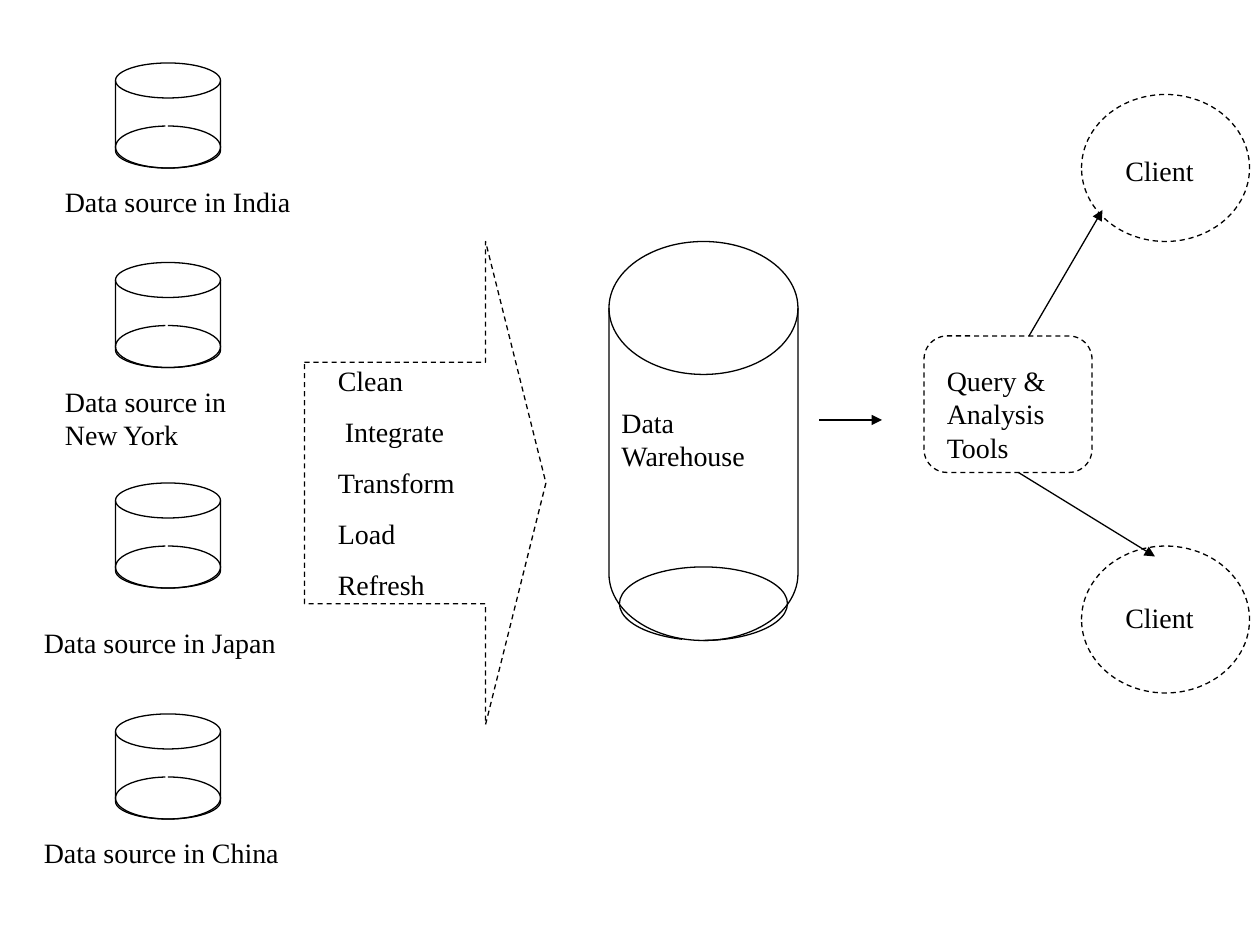
from lxml import etree
from pptx import Presentation
from pptx.dml.color import RGBColor
from pptx.enum.dml import MSO_LINE
from pptx.enum.shapes import MSO_CONNECTOR, MSO_SHAPE
from pptx.enum.text import MSO_AUTO_SIZE
from pptx.oxml.ns import qn
from pptx.util import Pt

PX = 7620
COLORS = {"ink": "000000"}
DISK = MSO_SHAPE.FLOWCHART_MAGNETIC_DISK
ARC = MSO_SHAPE.ARC
RIGHT_ARROW = MSO_SHAPE.RIGHT_ARROW
OVAL = MSO_SHAPE.OVAL
ROUNDED = MSO_SHAPE.ROUNDED_RECTANGLE
DASH = MSO_LINE.DASH
STRAIGHT = MSO_CONNECTOR.STRAIGHT
FIT_SHAPE = MSO_AUTO_SIZE.SHAPE_TO_FIT_TEXT
ARC_UNITS_PER_DEGREE = 0.6


class Diagram:
    """Draws outlined shapes, arrows and labels in one style on a slide."""

    font = "Times New Roman"
    size = Pt(16)
    space_before = Pt(10)
    weight = Pt(0.75)

    def __init__(self, slide):
        self.slide = slide
        self.ink = RGBColor.from_string(COLORS["ink"])

    def stroke(self, line):
        line.color.rgb = self.ink
        line.width = self.weight

    def outline(self, kind, box, adjustments=(), dashed=False):
        shape = self.slide.shapes.add_shape(kind, *(v * PX for v in box))
        shape.shadow.inherit = False
        shape.fill.background()
        self.stroke(shape.line)
        if dashed:
            shape.line.dash_style = DASH
        for i, value in enumerate(adjustments):
            shape.adjustments[i] = value

    def arc(self, box, start, end):
        self.outline(ARC, box, [a * ARC_UNITS_PER_DEGREE for a in (start, end)])

    def arrow(self, *ends):
        connector = self.slide.shapes.add_connector(STRAIGHT, *(v * PX for v in ends))
        self.stroke(connector.line)
        etree.SubElement(connector.line._get_or_add_ln(), qn("a:tailEnd"), type="triangle")
        etree.SubElement(connector._element.spPr, qn("a:effectLst"))

    def label(self, box, *lines):
        frame = self.slide.shapes.add_textbox(*(v * PX for v in box)).text_frame
        frame.word_wrap = True
        frame.auto_size = FIT_SHAPE
        frame.text = "\n".join(lines)
        for paragraph in frame.paragraphs:
            paragraph.space_before = self.space_before
            paragraph.font.name = self.font
            paragraph.font.size = self.size
            paragraph.font.color.rgb = self.ink


def main():
    deck = Presentation()
    deck.slide_width, deck.slide_height = 1200 * PX, 900 * PX
    diagram = Diagram(deck.slides.add_slide(deck.slide_layouts[6]))

    sources = [
        (60, "India", (50, 170, 250, 44)),
        (250, "New York", (50, 360, 200, 77)),
        (460, "Japan", (30, 590, 250, 44)),
        (680, "China", (30, 790, 250, 44)),
    ]
    for top, place, label_box in sources:
        diagram.outline(DISK, (110, top, 100, 100))
        diagram.arc((110, top + 60, 100, 40), 270, 263)
        diagram.label(label_box, f"Data source in {place}")

    diagram.outline(RIGHT_ARROW, (290, 230, 230, 460), (0.5, 0.25), dashed=True)
    diagram.label((310, 340, 140, 239),
                  "Clean", " Integrate", "Transform", "Load", "Refresh")

    diagram.outline(DISK, (580, 230, 180, 380))
    diagram.arc((590, 540, 160, 70), 121, 90)
    diagram.label((580, 380, 150, 77), "Data Warehouse")

    diagram.outline(ROUNDED, (880, 320, 160, 130), (0.17,), dashed=True)
    diagram.label((890, 340, 120, 108), "Query & Analysis Tools")

    for oval_top, label_top in ((90, 140), (520, 566)):
        diagram.outline(OVAL, (1030, oval_top, 160, 140), dashed=True)
        diagram.label((1060, label_top, 90, 44), "Client")

    diagram.arrow(780, 400, 840, 400)
    diagram.arrow(970, 450, 1100, 530)
    diagram.arrow(980, 320, 1050, 200)

    deck.save("out.pptx")


if __name__ == "__main__":
    main()
